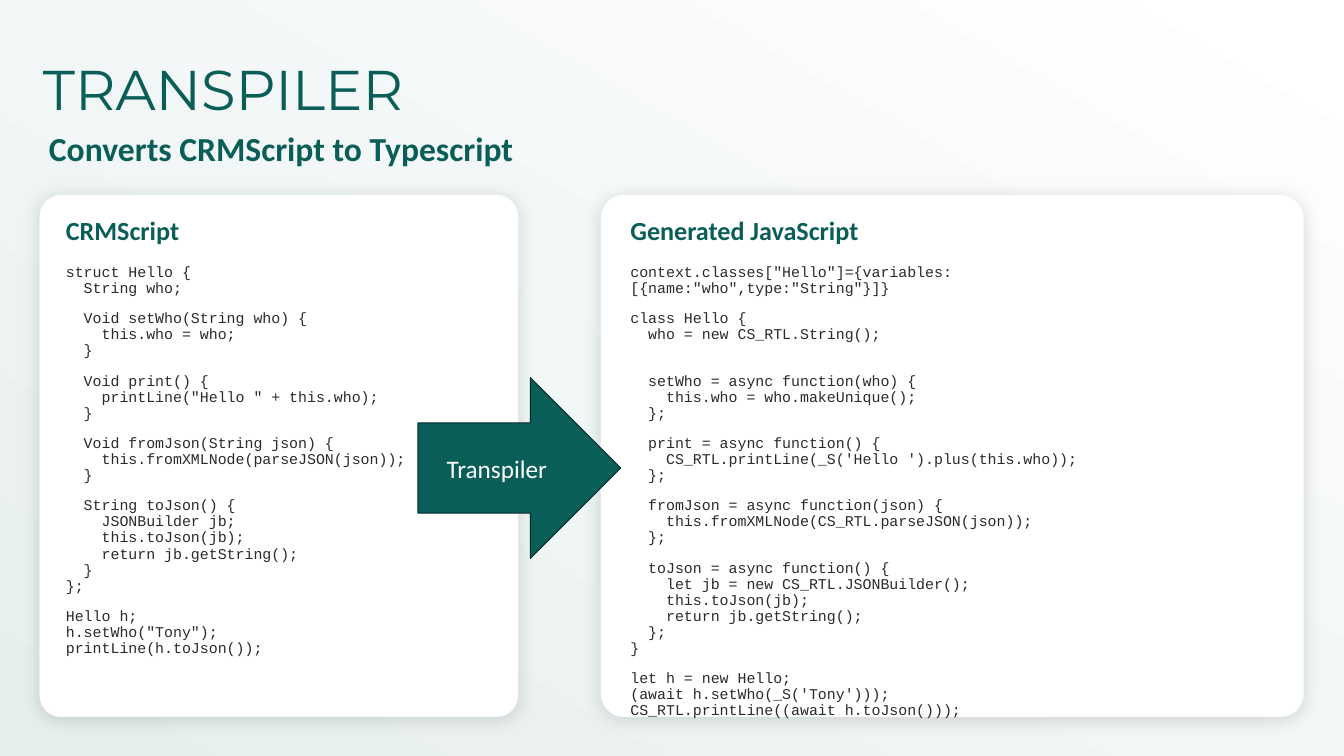
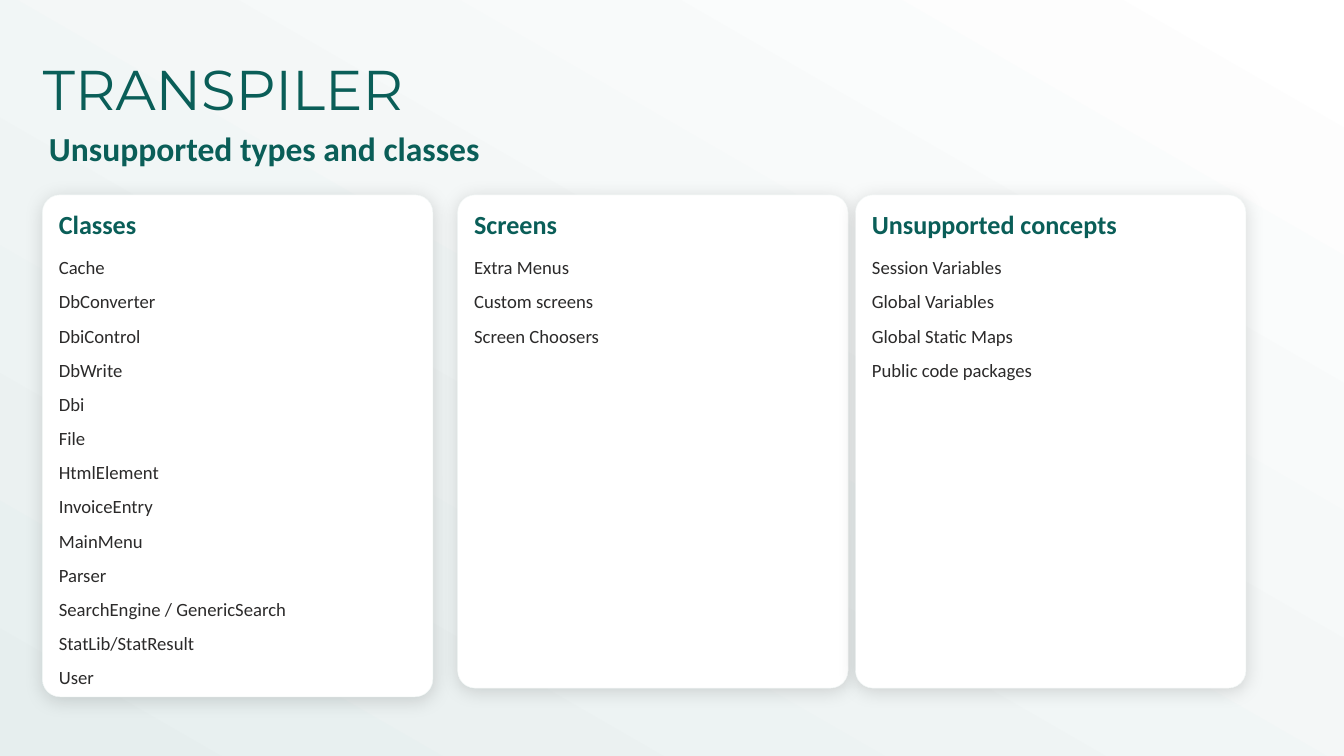
"""Build two slides about a transpiler: converted code and unsupported features."""
from copy import deepcopy

from lxml import etree
from pptx import Presentation
from pptx.dml.color import RGBColor
from pptx.enum.shapes import MSO_SHAPE as SHAPE
from pptx.enum.text import MSO_ANCHOR as ANCHOR, MSO_AUTO_SIZE as AUTO, PP_ALIGN as ALIGN
from pptx.oxml.ns import qn
from pptx.util import Pt

GREEN, DARK_GREEN, INK = "0A5E58", "042927", "2B2A2A"
WHITE, MIST, CARD_EDGE = "FFFFFF", "E6EEEE", "F2F7F6"
BODY, CODE, TITLE = "Calibri", "Courier New", "Montserrat"
CARD_TOP = 208.8

CRMSCRIPT = [
    "struct Hello {\n  String who;",
    "  Void setWho(String who) {\n    this.who = who;\n  }",
    '  Void print() {\n    printLine("Hello " + this.who);\n  }',
    "  Void fromJson(String json) {\n    this.fromXMLNode(parseJSON(json));\n  }",
    "  String toJson() {\n    JSONBuilder jb;\n    this.toJson(jb);\n"
    "    return jb.getString();\n  }\n};",
    'Hello h;\nh.setWho("Tony");\nprintLine(h.toJson());',
]
JAVASCRIPT = [
    'context.classes["Hello"]={variables:[{name:"who",type:"String"}]}',
    "class Hello {\n  who = new CS_RTL.String();\n",
    "  setWho = async function(who) {\n    this.who = who.makeUnique();\n  };",
    "  print = async function() {\n    CS_RTL.printLine(_S('Hello ').plus(this.who));\n  };",
    "  fromJson = async function(json) {\n    this.fromXMLNode(CS_RTL.parseJSON(json));\n  };",
    "  toJson = async function() {\n    let jb = new CS_RTL.JSONBuilder();\n"
    "    this.toJson(jb);\n    return jb.getString();\n  };\n}",
    "let h = new Hello;\n(await h.setWho(_S('Tony')));\nCS_RTL.printLine((await h.toJson()));",
]
CLASSES = ["Cache", "DbConverter", "DbiControl", "DbWrite", "Dbi", "File", "HtmlElement",
           "InvoiceEntry", "MainMenu", "Parser", "SearchEngine / GenericSearch",
           "StatLib/StatResult", "User"]
SCREENS = ["Extra Menus", "Custom screens", "Screen Choosers"]
CONCEPTS = ["Session Variables", "Global Variables", "Global Static Maps", "Public code packages"]

SLIDES = [
    dict(subtitle="Converts CRMScript to Typescript", head_top=230.4, body_top=280,
         font=CODE, size=16, arrow="Transpiler", cards=[
             dict(head="CRMScript", lines=CRMSCRIPT, left=42.5, width=512.6, height=559.4,
                  pad=28.1, head_width=352, body=(589, 432)),
             dict(head="Generated JavaScript", lines=JAVASCRIPT, left=643.7, width=753.1,
                  height=559.4, pad=31.7, head_width=426.2, body=(625, 481.7))]),
    dict(subtitle="Unsupported types and classes", head_top=223.2, body_top=273.6,
         font=BODY, size=20, arrow=None, cards=[
             dict(head=head, lines=lines, left=left, width=418.3, height=height,
                  pad=17.6, head_width=426.2, body=(344.2, body_height))
             for head, lines, left, height, body_height in [
                 ("Classes", CLASSES, 45.4, 537.8, 509.8),
                 ("Screens", SCREENS, 490.3, 528.5, 139.7),
                 ("Unsupported concepts", CONCEPTS, 916.6, 528.5, 139.7)]]),
]


def rgb(value):
    return RGBColor.from_string(value)


def write(tf, lines, font=BODY, size=20, color=INK, bold=False, align=ALIGN.LEFT,
          spacing=0.9, before=15):
    tf.word_wrap = True
    for i, line in enumerate(lines):
        p = tf.paragraphs[0] if i == 0 else tf.add_paragraph()
        p.text = line
        p.alignment, p.line_spacing, p.space_before = align, spacing, Pt(before)
        for r in p.runs:
            r.font.name, r.font.size, r.font.bold = font, Pt(size), bold
            r.font.color.rgb = rgb(color)
        for br in p._p.findall(qn("a:br")):
            br.append(deepcopy(p.runs[0]._r.rPr))


def add_text(slide, lines, left, top, width, height, inset=0, grow=True, **fmt):
    tf = slide.shapes.add_textbox(Pt(left), Pt(top), Pt(width), Pt(height)).text_frame
    tf.margin_left = Pt(inset)
    write(tf, lines, **fmt)
    tf.auto_size = AUTO.SHAPE_TO_FIT_TEXT if grow else AUTO.NONE


def add_shape(slide, kind, left, top, width, height, fill, line, weight):
    sp = slide.shapes.add_shape(kind, Pt(left), Pt(top), Pt(width), Pt(height))
    sp.shadow.inherit = False
    sp.fill.solid()
    sp.fill.fore_color.rgb = rgb(fill)
    sp.line.color.rgb = rgb(line)
    sp.line.width = Pt(weight)
    return sp


def add_soft_shadow(sp):
    effects = sp._element.spPr.find(qn("a:effectLst"))
    shadow = etree.SubElement(effects, qn("a:outerShdw"), blurRad=str(Pt(20)), dist=str(Pt(3)),
                              dir="5400000", algn="t", rotWithShape="0")
    color = etree.SubElement(shadow, qn("a:srgbClr"), val="000000")
    etree.SubElement(color, qn("a:alpha"), val="15000")


def add_card(slide, card, head_top, body_top, font, size):
    sp = add_shape(slide, SHAPE.ROUNDED_RECTANGLE, card["left"], CARD_TOP, card["width"],
                   card["height"], WHITE, CARD_EDGE, 0.5)
    sp.adjustments[0] = 0.045
    add_soft_shadow(sp)
    left = card["left"] + card["pad"]
    add_text(slide, [card["head"]], left, head_top, card["head_width"], 38.2,
             size=28, color=GREEN, bold=True)
    add_text(slide, card["lines"], left, body_top, *card["body"], font=font, size=size)


def add_base(prs, subtitle):
    slide = prs.slides.add_slide(prs.slide_layouts[6])
    fill = slide.background.fill
    fill.gradient()
    fill.gradient_angle = 240
    for stop, position, color in zip(fill.gradient_stops, (0, 1), (WHITE, MIST)):
        stop.position, stop.color.rgb = position, rgb(color)
    add_text(slide, ["TRANSPILER"], 38.9, 62.6, 451.4, 61.2, inset=7.2, grow=False,
             font=TITLE, size=60, color=GREEN, before=0)
    add_text(slide, [subtitle], 45.4, 138.2, 1185.8, 46.8, inset=7.2,
             size=36, color=GREEN, bold=True)
    return slide


def main():
    prs = Presentation()
    prs.slide_width, prs.slide_height = Pt(1440), Pt(810)
    for page in SLIDES:
        slide = add_base(prs, page["subtitle"])
        for card in page["cards"]:
            add_card(slide, card, page["head_top"], page["body_top"], page["font"], page["size"])
        if page["arrow"]:
            sp = add_shape(slide, SHAPE.RIGHT_ARROW, 447.8, 404.6, 217.4, 193.7,
                           GREEN, DARK_GREEN, 1)
            sp.text_frame.vertical_anchor = ANCHOR.MIDDLE
            write(sp.text_frame, [page["arrow"]], size=27, color=WHITE, align=ALIGN.CENTER,
                  spacing=1.0, before=0)
    prs.save("out.pptx")


if __name__ == "__main__":
    main()
